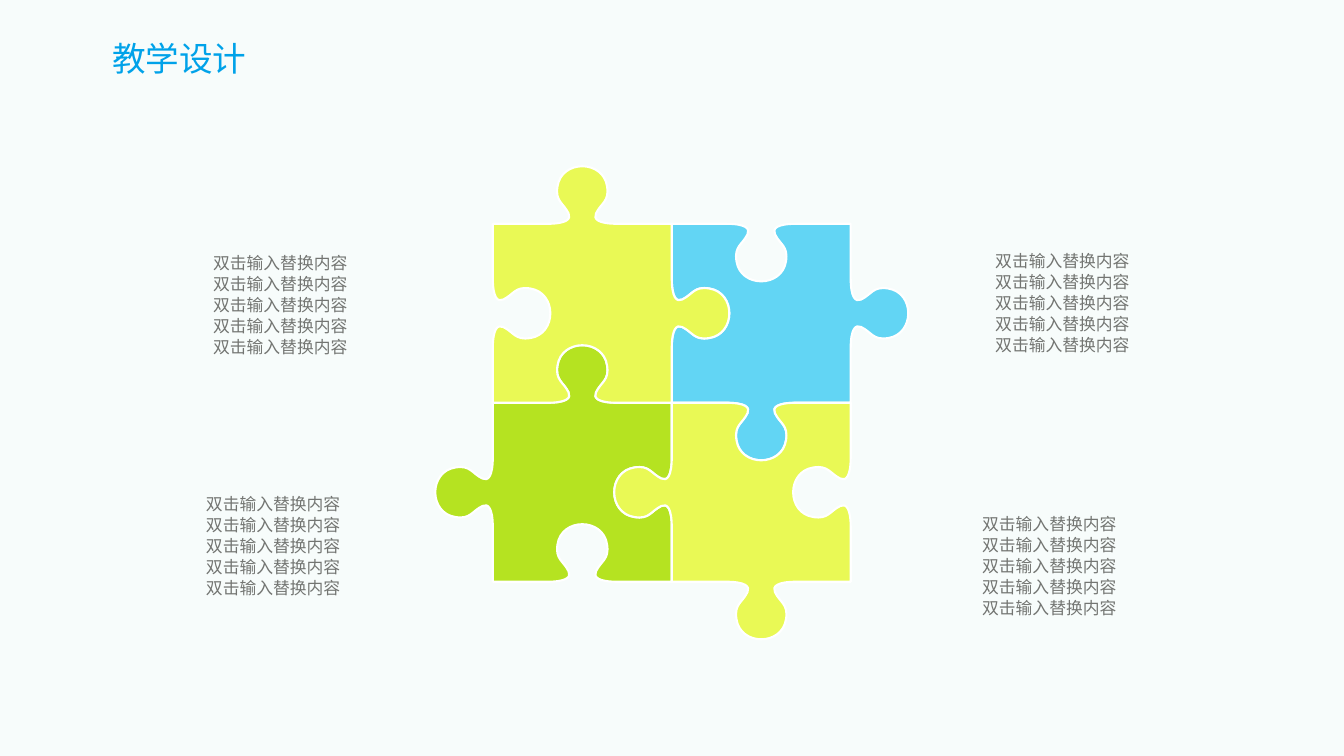
from dataclasses import dataclass
from lxml.etree import SubElement
from pptx import Presentation
from pptx.dml.color import RGBColor
from pptx.enum.shapes import MSO_SHAPE as Preset
from pptx.enum.text import MSO_ANCHOR as Anchor, MSO_AUTO_SIZE as AutoSize, PP_ALIGN as Align
from pptx.oxml.ns import qn
from pptx.util import Cm, Pt


@dataclass(frozen=True)
class Theme:
    font: str = "Noto Sans CJK SC"
    page: str = "FFFFFF"
    tint: str = "E5F7F5"
    tint_alpha: int = 30
    title: str = "00A2E9"
    body: str = "737572"
    outline: str = "FFFFFF"
    blue: str = "62D5F4"
    green: str = "B5E321"
    yellow: str = "E9F955"
    title_size: int = 24
    body_size: int = 12
    body_leading: int = 15
    outline_width: float = 1.5


THEME = Theme()
SIDE = 4.51
KNOB_HALF = [(1.37, 0), (1.86, 0), (1.98, 0.12), (1.91, 0.26), (1.78, 0.53), (1.57, 0.56), (1.63, 0.94)]
KNOB_CAP = [(1.73, 1.62), (SIDE - 1.73, 1.62)]
EDGE = KNOB_HALF + KNOB_CAP + [(SIDE - along, out) for along, out in reversed(KNOB_HALF)] + [(SIDE, 0)]
TAB, SOCKET = 1, -1
DIRECTIONS = [(1, 0), (0, 1), (-1, 0), (0, -1)]


def color(value):
    return RGBColor.from_string(value)


def write_text(shape, text, *, size, tint, anchor=Anchor.TOP, leading=None):
    frame = shape.text_frame
    frame.word_wrap = True
    frame.auto_size = AutoSize.NONE
    frame.vertical_anchor = anchor
    frame.text = text
    for para in frame.paragraphs:
        para.alignment = Align.CENTER
        if leading:
            para.line_spacing = Pt(leading)
        for span in para.runs:
            span.font.size = Pt(size)
            span.font.color.rgb = color(tint)
            span.font.name = THEME.font
            SubElement(span.font._element, qn("a:ea"), typeface=THEME.font)


def piece_outline(left, top, edges):
    x, y = left, top
    points = [(x, y)]
    for (across, down), kind in zip(DIRECTIONS, edges):
        for along, out in EDGE:
            rise = out * kind
            points.append((x + along * across + rise * down, y + along * down - rise * across))
        x, y = x + SIDE * across, y + SIDE * down
    return [(Cm(px), Cm(py)) for px, py in points]


def round_knobs(piece):
    outline = piece._element.find(".//" + qn("a:path"))
    lines = outline.findall(qn("a:lnTo"))
    for corner in range(0, len(lines), len(EDGE)):
        for first in range(corner + 1, corner + len(EDGE) - 1, 3):
            curve = SubElement(outline, qn("a:cubicBezTo"))
            lines[first].addprevious(curve)
            for line in lines[first:first + 3]:
                curve.append(line[0])
                outline.remove(line)


def add_piece(page, left, top, edges, fill):
    start, *rest = piece_outline(left, top, edges)
    builder = page.shapes.build_freeform(*start)
    builder.add_line_segments(rest, close=True)
    piece = builder.convert_to_shape()
    round_knobs(piece)
    piece.shadow.inherit = False
    piece.fill.solid()
    piece.fill.fore_color.rgb = color(fill)
    piece.line.color.rgb = color(THEME.outline)
    piece.line.width = Pt(THEME.outline_width)


def add_puzzle(page, left, top):
    pieces = [
        (1, 0, (SOCKET, TAB, TAB, SOCKET), THEME.blue),
        (0, 1, (TAB, SOCKET, SOCKET, TAB), THEME.green),
        (0, 0, (TAB, TAB, SOCKET, SOCKET), THEME.yellow),
        (1, 1, (SOCKET, SOCKET, TAB, TAB), THEME.yellow),
    ]
    for column, row, edges, fill in pieces:
        add_piece(page, left + column * SIDE, top + row * SIDE, edges, fill)


def add_backdrop(page, width, height):
    page.background.fill.solid()
    page.background.fill.fore_color.rgb = color(THEME.page)
    veil = page.shapes.add_shape(Preset.RECTANGLE, 0, 0, width, height)
    veil.shadow.inherit = False
    veil.line.fill.background()
    veil.fill.solid()
    veil.fill.fore_color.rgb = color(THEME.tint)
    tint = veil._element.spPr.find(".//" + qn("a:srgbClr"))
    SubElement(tint, qn("a:alpha"), val=str(THEME.tint_alpha * 1000))
    page.shapes.title._element.addprevious(veil._element)


def add_title(page, left, top, width, height):
    title = page.shapes.title
    title.left, title.top, title.width, title.height = map(Cm, (left, top, width, height))
    write_text(title, "教学设计", size=THEME.title_size, tint=THEME.title, anchor=Anchor.MIDDLE)


def add_caption(page, left, top, width, height):
    box = page.shapes.add_textbox(*map(Cm, (left, top, width, height)))
    write_text(box, "\n".join(["双击输入替换内容"] * 5), size=THEME.body_size,
               tint=THEME.body, leading=THEME.body_leading)


def build_puzzle_page(deck):
    page = deck.slides.add_slide(deck.slide_layouts[5])
    add_backdrop(page, deck.slide_width, deck.slide_height)
    add_title(page, -1.07, 0.84, 11.18, 1.27)
    add_puzzle(page, 12.42, 5.64)
    for left, top in [(1.07, 6.22), (20.78, 6.17), (0.89, 12.29), (20.45, 12.8)]:
        add_caption(page, left, top, 11.99, 3.43)


def main():
    deck = Presentation()
    deck.slide_width, deck.slide_height = Cm(33.87), Cm(19.05)
    build_puzzle_page(deck)
    deck.save("out.pptx")


if __name__ == "__main__":
    main()
